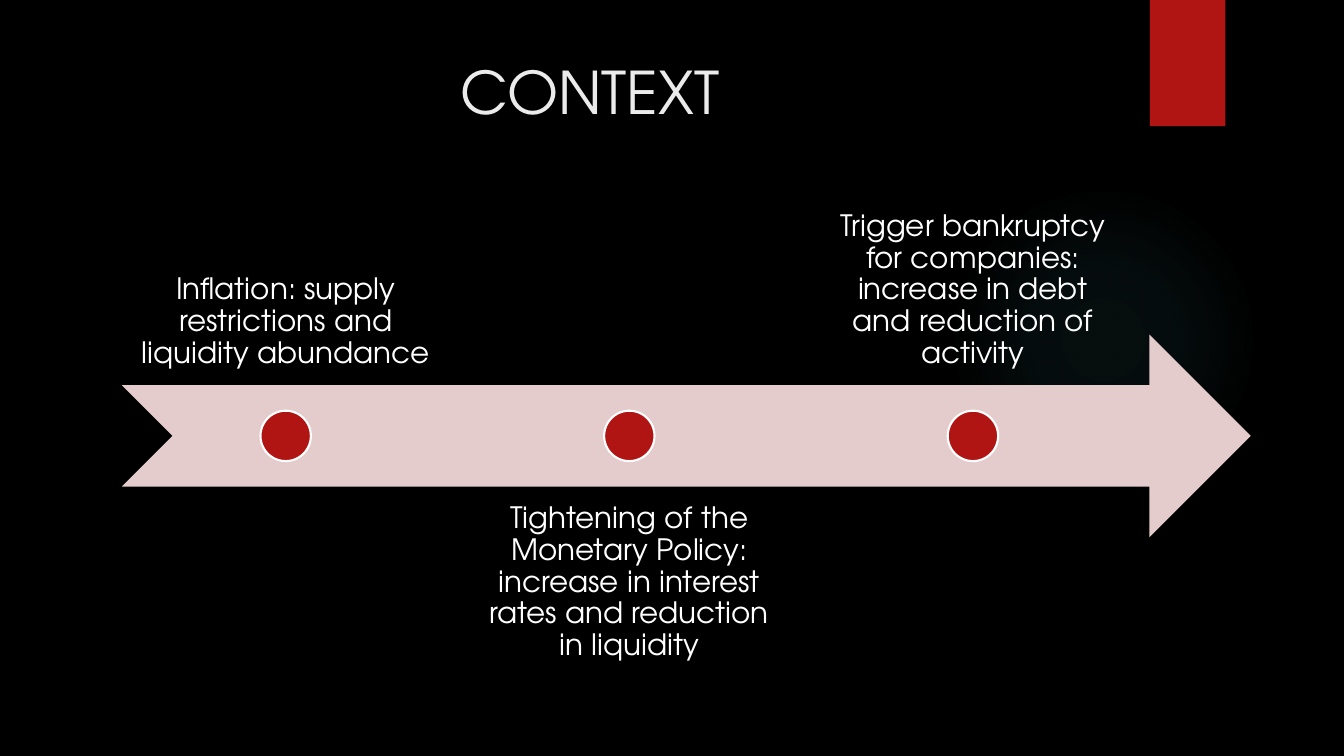
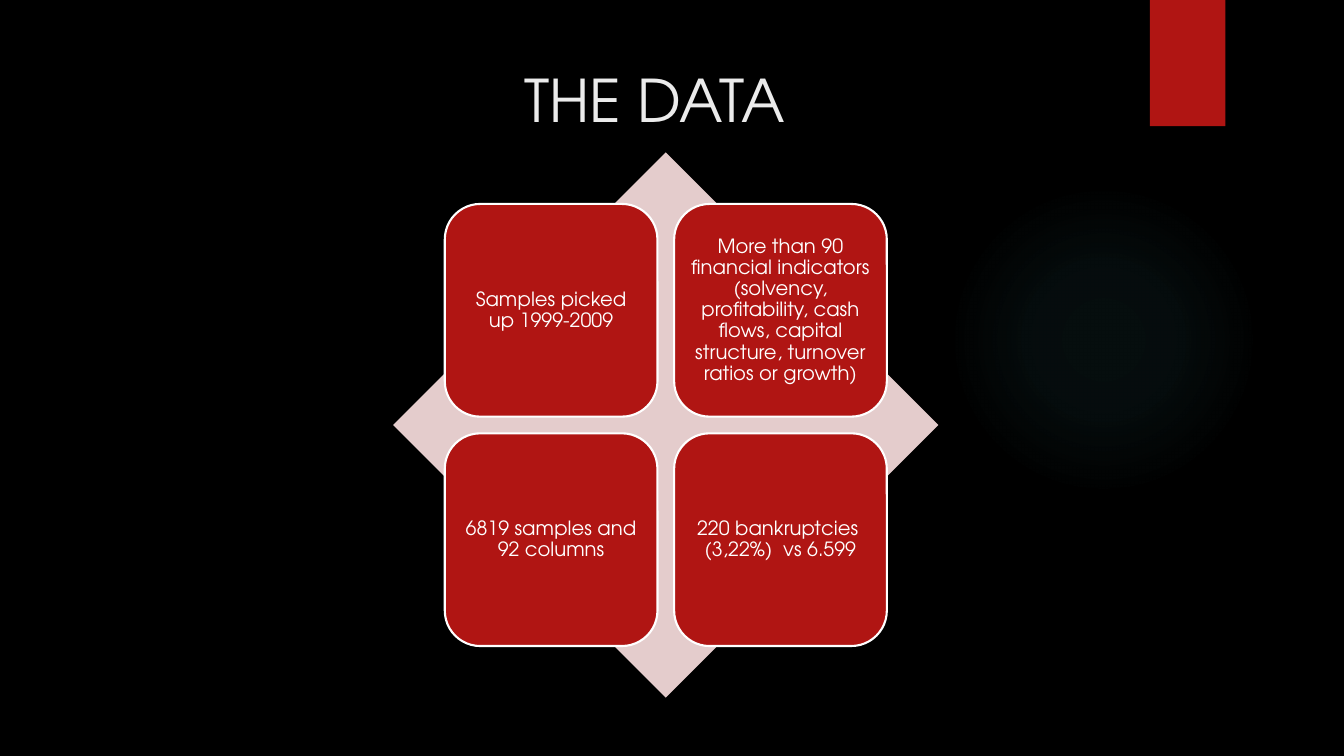
from lxml import etree
from pptx import Presentation
from pptx.dml.color import RGBColor
from pptx.enum import shapes, text
from pptx.oxml import ns
from pptx.util import Cm, Pt

FONT = "TeX Gyre Adventor"
BLACK = RGBColor(0x00, 0x00, 0x00)
WHITE = RGBColor(0xFF, 0xFF, 0xFF)
TITLE_GREY = RGBColor(0xEB, 0xEB, 0xEB)
RED = RGBColor(0xB0, 0x15, 0x13)
PINK = RGBColor(0xE4, 0xCC, 0xCC)
GLOW = RGBColor(0x50, 0xB9, 0xC1)
GLOW_STOPS = [(0, 7), (36, 6), (69, 0)]  # position and opacity, percent

SHAPE = shapes.MSO_SHAPE
ANCHOR = text.MSO_ANCHOR

STEPS = [
    "Inflation: supply restrictions and liquidity abundance",
    "Tightening of the Monetary Policy: increase in interest rates "
    "and reduction in liquidity",
    "Trigger bankruptcy for companies: increase in debt and reduction of activity",
]
FACTS = [
    "Samples picked up 1999-2009",
    "More than 90 financial indicators (solvency, profitability, cash flows, "
    "capital structure, turnover ratios or growth)",
    "6819 samples and 92 columns",
    "220 bankruptcies  (3,22%)  vs 6.599",
]


# Element helpers; all lengths are in centimetres
def add_figure(s, kind, left, top, width, height, fill, line=None):
    sp = s.shapes.add_shape(kind, Cm(left), Cm(top), Cm(width), Cm(height))
    sp.shadow.inherit = False
    sp.fill.solid()
    sp.fill.fore_color.rgb = fill
    if line is None:
        sp.line.fill.background()
    else:
        sp.line.color.rgb = line
        sp.line.width = Pt(1.5)
    return sp


def write(tf, words, size, anchor, margin, color=WHITE, spacing=0.9):
    tf.word_wrap = True
    tf.auto_size = text.MSO_AUTO_SIZE.NONE
    tf.vertical_anchor = anchor
    tf.margin_left = tf.margin_right = Cm(margin)
    tf.margin_top = tf.margin_bottom = Cm(margin)
    p = tf.paragraphs[0]
    p.text = words
    p.alignment = text.PP_ALIGN.CENTER
    p.line_spacing = spacing
    p.font.name = FONT
    p.font.size = Pt(size)
    p.font.color.rgb = color


def add_label(s, words, left, top, width, height, anchor):
    sp = s.shapes.add_textbox(Cm(left), Cm(top), Cm(width), Cm(height))
    write(sp.text_frame, words, 21, anchor, 0.41)


def add_titled_slide(prs, title, left, top, width, height):
    s = prs.slides.add_slide(prs.slide_layouts[5])
    sp = s.shapes.title
    sp.left, sp.top, sp.width, sp.height = map(Cm, (left, top, width, height))
    write(sp.text_frame, title, 42, ANCHOR.TOP, 0.13, TITLE_GREY, 1.0)
    return s


# Shared backdrop
def fill_with_glow(sp):
    fill = etree.Element(ns.qn("a:gradFill"), rotWithShape="1")
    stops = etree.SubElement(fill, ns.qn("a:gsLst"))
    for position, opacity in GLOW_STOPS:
        stop = etree.SubElement(stops, ns.qn("a:gs"), pos=str(position * 1000))
        color = etree.SubElement(stop, ns.qn("a:srgbClr"), val=str(GLOW))
        etree.SubElement(color, ns.qn("a:alpha"), val=str(opacity * 1000))
    circle = etree.SubElement(fill, ns.qn("a:path"), path="circle")
    etree.SubElement(circle, ns.qn("a:fillToRect"),
                     dict.fromkeys("ltrb", "50000"))
    solid = sp.element.spPr.find(ns.qn("a:solidFill"))
    solid.getparent().replace(solid, fill)


def dress_layout(prs, s):
    """Draw the glow and the band on s, then move them to its layout."""
    background = prs.slide_master.background.fill
    background.solid()
    background.fore_color.rgb = BLACK
    glow = add_figure(s, SHAPE.OVAL, 23.9, 4.65, 7.82, 7.82, GLOW)
    fill_with_glow(glow)
    band = add_figure(s, SHAPE.RECTANGLE, 28.98, 0, 1.9, 3.18, RED)
    tree = s.slide_layout.shapes.element
    for index, sp in enumerate((glow, band), start=2):
        tree.insert(index, sp.element)


# Slide contents
def add_timeline(s, steps):
    left, top, width, height = 3.07, 8.43, 28.45, 5.11
    label_width, pitch, dot = 8.26, 8.66, 1.27
    add_figure(s, SHAPE.NOTCHED_RIGHT_ARROW, left, top, width, height, PINK)
    for i, words in enumerate(steps):
        x = left + i * pitch
        # Labels alternate above and below the arrow's shaft
        y, anchor = (12.27, ANCHOR.TOP) if i % 2 else (4.62, ANCHOR.BOTTOM)
        add_label(s, words, x, y, label_width, height, anchor)
        add_figure(s, SHAPE.OVAL, x + (label_width - dot) / 2,
                   top + (height - dot) / 2, dot, dot, RED, WHITE)


def add_matrix(s, facts):
    left, top, side = 9.91, 3.84, 13.74
    card, pitch = 5.36, 5.78
    inset = (side - card - pitch) / 2
    add_figure(s, SHAPE.DIAMOND, left, top, side, side, PINK)
    for i, words in enumerate(facts):
        row, col = divmod(i, 2)
        sp = add_figure(s, SHAPE.ROUNDED_RECTANGLE, left + inset + col * pitch,
                        top + inset + row * pitch, card, card, RED, WHITE)
        write(sp.text_frame, words, 14, ANCHOR.MIDDLE, 0.15)


def main():
    prs = Presentation()
    prs.slide_width, prs.slide_height = Cm(33.87), Cm(19.05)

    s = add_titled_slide(prs, "CONTEXT", 1.8, 1.27, 26.14, 3.89)
    dress_layout(prs, s)
    add_timeline(s, STEPS)

    s = add_titled_slide(prs, "THE DATA", 2.13, 1.47, 28.75, 3.51)
    add_matrix(s, FACTS)

    prs.save("out.pptx")


if __name__ == "__main__":
    main()
